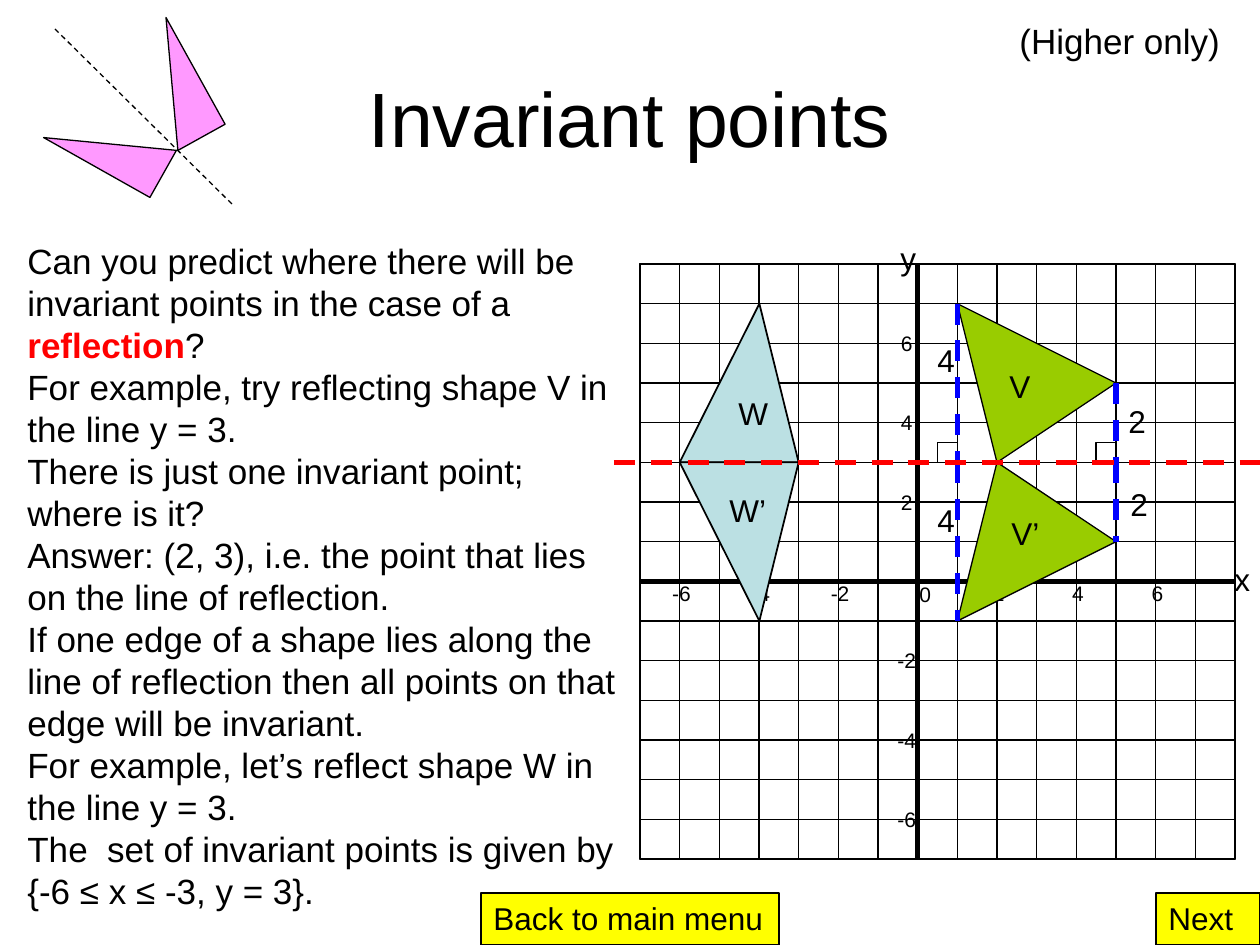
from lxml import etree
from pptx import Presentation
from pptx import util as u
from pptx.dml import color
from pptx.enum import dml, shapes, text
from pptx.oxml import ns

THEME = {
    "font": "Arial", "ink": "000000", "accent": "FF0000", "distance": "0000FF",
    "button": "FFFF00", "logo": "FF99FF", "v": "99CC00", "w": "BBE0E3",
    "title": 44, "body": 20, "label": 18, "tick": 12,
    "thin": 0.75, "outline": 1, "thick": 3,
}
PX = u.Inches(1) / 126
GRID_LEFT, GRID_TOP, GRID_SIZE, CELLS = 640, 264, 595, 15
CELL = GRID_SIZE / CELLS
X_MIN, Y_MAX, MIRROR = -7, 8, 3

TITLE = "Invariant points"
BODY = [
    [("Can you predict where there will be invariant points in the case of a ", False),
     ("reflection", True), ("?", False)],
    [("For example, try reflecting shape V in the line y = 3.", False)],
    [("There is just one invariant point; where is it?", False)],
    [("Answer: (2, 3), i.e. the point that lies on the line of reflection.", False)],
    [("If one edge of a shape lies along the line of reflection then all points "
      "on that edge will be invariant.", False)],
    [("For example, let’s reflect shape W in the line y = 3.", False)],
    [("The  set of invariant points is given by", False)],
    [("{-6 ≤ x ≤ -3, y = 3}.", False)],
]
BUTTONS = [("Next", 1156, 104), ("Back to main menu", 481, 298)]
AXIS_NAMES = [("y", 888, 233, 42), ("x", 1222, 554, 42)]
TICKS = [-6, -4, -2, 2, 4, 6]
SHAPE_V = [(1, 7), (2, 3), (5, 5)]
V_NAMES = [("V", 997, 361, 57), ("V’", 999, 508, 60)]
W_NAMES = [("W", 726, 388, 57), ("W’", 717, 485, 66)]
DISTANCES = [(1, 7), (1, -1), (5, 5), (5, 1)]
DISTANCE_NAMES = [("4", 925, 335, 43), ("4", 925, 495, 43),
                  ("2", 1116, 396, 43), ("2", 1118, 479, 43)]
LOGO_WINGS = [(83, 83, 299.4, False), (145, 23, 331, True)]


def emu(*lengths):
    return [u.Emu(round(length * PX)) for length in lengths]


def grid(x, y):
    return GRID_LEFT + (x - X_MIN) * CELL, GRID_TOP + (Y_MAX - y) * CELL


def rgb(name):
    return color.RGBColor.from_string(THEME[name])


def style_run(run, size, ink="ink", bold=None):
    run.font.name = THEME["font"]
    run.font.size = u.Pt(THEME[size])
    run.font.color.rgb = rgb(ink)
    run.font.bold = bold


def write(shape, words, size, wrap=False):
    frame = shape.text_frame
    frame.text = words
    frame.word_wrap = wrap
    frame.vertical_anchor = text.MSO_ANCHOR.TOP
    paragraph = frame.paragraphs[0]
    paragraph.alignment = text.PP_ALIGN.LEFT
    style_run(paragraph.runs[0], size)


def add_label(slide, words, left, top, width, height=50, size="label", wrap=False):
    box = slide.shapes.add_textbox(*emu(left, top, width, height))
    write(box, words, size, wrap)
    return box


def paint(shape, fill=None, width="thin"):
    shape.shadow.inherit = False
    if fill:
        shape.fill.solid()
        shape.fill.fore_color.rgb = rgb(fill)
    else:
        shape.fill.background()
    shape.line.color.rgb = rgb("ink")
    shape.line.width = u.Pt(THEME[width])


def add_preset(slide, kind, left, top, width, height, fill=None, line="thin", flip=None):
    shape = slide.shapes.add_shape(kind, *emu(left, top, width, height))
    paint(shape, fill, line)
    if flip:
        shape.element.spPr.find(ns.qn("a:xfrm")).set(flip, "1")
    return shape


def add_line(slide, start, end, ink="ink", width="thick", dashed=False):
    line = slide.shapes.add_connector(shapes.MSO_CONNECTOR.STRAIGHT, *emu(*start, *end))
    line.line.color.rgb = rgb(ink)
    line.line.width = u.Pt(THEME[width])
    if dashed:
        line.line.dash_style = dml.MSO_LINE.DASH
    etree.SubElement(line.element.spPr, ns.qn("a:effectLst"))


def add_title(slide):
    title = slide.shapes.title
    title.left, title.top, title.width, title.height = emu(63, 38, 1134, 157)
    write(title, TITLE, "title", wrap=True)
    title.text_frame.vertical_anchor = text.MSO_ANCHOR.MIDDLE
    title.text_frame.paragraphs[0].alignment = text.PP_ALIGN.CENTER


def add_axes(slide):
    rectangle = shapes.MSO_SHAPE.RECTANGLE
    for index in range(CELLS):
        offset = index * CELL
        add_preset(slide, rectangle, GRID_LEFT + offset, GRID_TOP, CELL, GRID_SIZE)
        add_preset(slide, rectangle, GRID_LEFT, GRID_TOP + offset, GRID_SIZE, CELL)
    x_max, y_min = X_MIN + CELLS, Y_MAX - CELLS
    add_line(slide, grid(0, Y_MAX), grid(0, y_min))
    add_line(slide, grid(X_MIN, 0), grid(x_max, 0))
    for name in AXIS_NAMES:
        add_label(slide, *name)
    add_label(slide, "0", 907, 575, 37, 38, "tick")
    for value in TICKS:
        width = 44 if value < 0 else 37
        across, down = grid(value, value)
        add_label(slide, str(value), across + 2 - width / 2, 574, width, 38, "tick")
        add_label(slide, str(value), 907 - width / 2, down - 19, width, 38, "tick")


def add_v_shapes(slide):
    reflected = [(x, 2 * MIRROR - y) for x, y in SHAPE_V]
    for corners, name in zip((SHAPE_V, reflected), V_NAMES):
        points = [emu(*grid(*corner)) for corner in corners]
        builder = slide.shapes.build_freeform(*points[0])
        builder.add_line_segments(points[1:], close=True)
        paint(builder.convert_to_shape(), "v")
        add_label(slide, *name, wrap=True)
    for x in (1, 5):
        add_preset(slide, shapes.MSO_SHAPE.RECTANGLE, *grid(x - 0.5, MIRROR + 0.5),
                   CELL / 2, CELL / 2)
    for (x, y), name in zip(DISTANCES, DISTANCE_NAMES):
        ends = sorted((y, MIRROR), reverse=True)
        add_line(slide, grid(x, ends[0]), grid(x, ends[1]), "distance", dashed=True)
        add_label(slide, *name)


def add_logo(slide):
    for left, top, angle, flipped in LOGO_WINGS:
        wing = add_preset(slide, shapes.MSO_SHAPE.RIGHT_TRIANGLE, left, top, 54, 122,
                          "logo", flip="flipH" if flipped else None)
        wing.rotation = angle
    add_line(slide, (55, 29), (233, 205), width="thin", dashed=True)


def add_body(slide):
    box = slide.shapes.add_textbox(*emu(15, 233, 625, 733))
    frame = box.text_frame
    frame.word_wrap = True
    for index, parts in enumerate(BODY):
        paragraph = frame.add_paragraph() if index else frame.paragraphs[0]
        for words, strong in parts:
            run = paragraph.add_run()
            run.text = words
            style_run(run, "body", "accent" if strong else "ink", strong)


def add_w_shapes(slide):
    for top, flip, name in zip((7, MIRROR), (None, "flipV"), W_NAMES):
        triangle = add_preset(slide, shapes.MSO_SHAPE.ISOSCELES_TRIANGLE, *grid(-6, top),
                              3 * CELL, 4 * CELL, "w", "outline", flip)
        triangle.adjustments[0] = 0.67
        add_label(slide, *name, wrap=True)


def main():
    presentation = Presentation()
    presentation.slide_width, presentation.slide_height = emu(1260, 945)
    slide = presentation.slides.add_slide(presentation.slide_layouts[5])
    add_title(slide)
    for words, left, width in BUTTONS:
        button = add_preset(slide, shapes.MSO_SHAPE.RECTANGLE, left, 893, width, 52, "button")
        write(button, words, "label", wrap=True)
    add_axes(slide)
    add_v_shapes(slide)
    add_logo(slide)
    add_body(slide)
    add_w_shapes(slide)
    mirror_height = grid(0, MIRROR)[1]
    add_line(slide, (614, mirror_height), (1264, mirror_height), "accent", dashed=True)
    add_label(slide, "(Higher only)", 1007, 13, 228, 55, "body")
    presentation.save("out.pptx")


if __name__ == "__main__":
    main()
